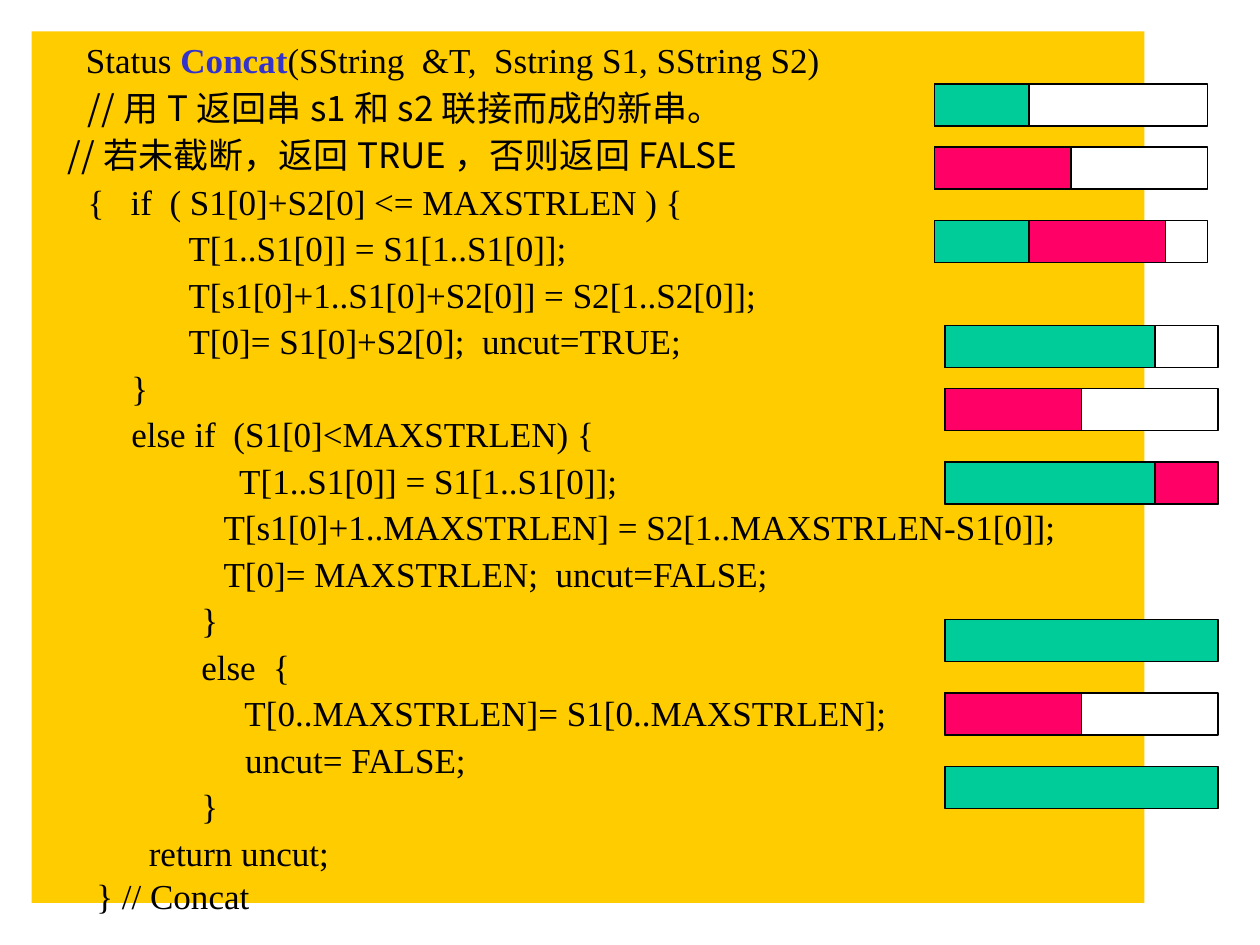
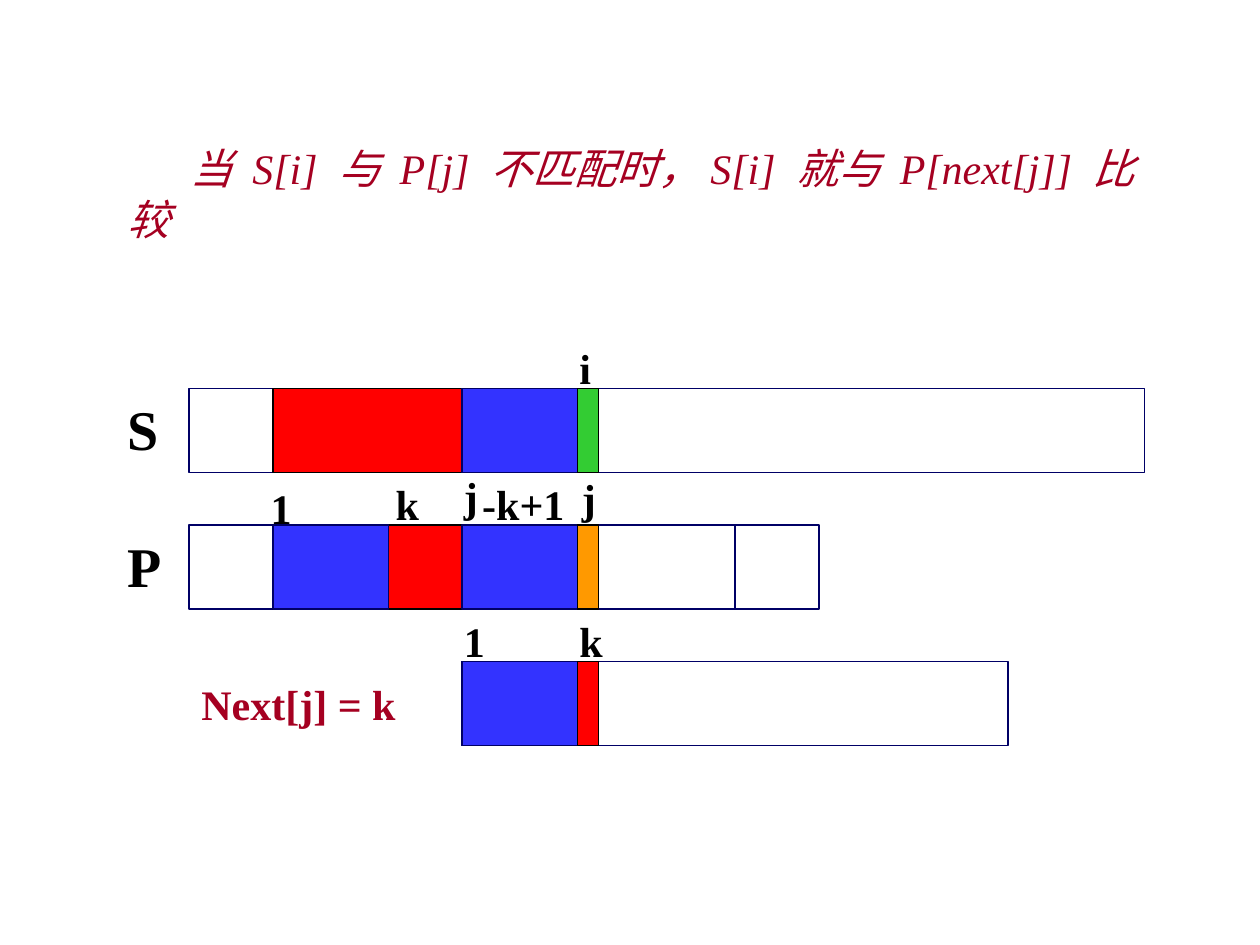
from dataclasses import dataclass

from lxml import etree
from pptx import Presentation
from pptx.dml.color import RGBColor
from pptx.enum import shapes, text
from pptx.oxml import ns
from pptx.util import Pt


@dataclass(frozen=True)
class Theme:
    latin: str = "Times New Roman"
    chinese: str = "Noto Sans CJK SC"
    black: str = "000000"
    white: str = "FFFFFF"
    panel: str = "FFCC00"
    keyword: str = "3333CC"
    first: str = "00CC99"
    second: str = "FF0066"
    navy: str = "000066"
    red: str = "FF0000"
    blue: str = "3333FF"
    green: str = "33CC33"
    orange: str = "FF9900"
    crimson: str = "A50021"
    code_size: int = 20
    label_size: int = 24
    name_size: int = 32
    outline: float = 0.75


THEME = Theme()

# Code listing of slide 1; the first three lines mix styles
SIGNATURE = [
    ("    ", dict(size=THEME.label_size)),
    ("Status ", {}),
    ("Concat", dict(color=THEME.keyword, bold=True)),
    ("(SString  &T,  Sstring S1, SString S2)", {}),
]
REMARKS = [
    [("     ", {}),
     ("//用T返回串s1和s2联接而成的新串。", dict(font=THEME.chinese))],
    [("   //若未截断，返回TRUE，否则返回FALSE", dict(font=THEME.chinese))],
]
BODY = [
    "     {   if  ( S1[0]+S2[0] <= MAXSTRLEN ) {",
    "\t\t    T[1..S1[0]] = S1[1..S1[0]];",
    "\t\t    T[s1[0]+1..S1[0]+S2[0]] = S2[1..S2[0]];",
    "\t\t    T[0]= S1[0]+S2[0];  uncut=TRUE;",
    "          }",
    "          else if  (S1[0]<MAXSTRLEN) {",
    "\t                 T[1..S1[0]] = S1[1..S1[0]];",
    "\t\t        T[s1[0]+1..MAXSTRLEN] = S2[1..MAXSTRLEN-S1[0]];",
    "\t\t        T[0]= MAXSTRLEN;  uncut=FALSE;",
    "                  }",
    "                  else  {",
    "                       T[0..MAXSTRLEN]= S1[0..MAXSTRLEN];",
    "                       uncut= FALSE;",
    "                  }",
    "            return uncut;",
    "      } // Concat",
]

# Each case: left edge, then bars as (top, base colour, [(width, colour)])
CASES = [
    (534, [(48, THEME.white, [(54, THEME.first)]),
           (84, THEME.white, [(78, THEME.second)]),
           (126, THEME.white, [(54, THEME.first), (78, THEME.second)])]),
    (540, [(186, THEME.white, [(120, THEME.first)]),
           (222, THEME.white, [(78, THEME.second)]),
           (264, THEME.white, [(120, THEME.first), (36, THEME.second)])]),
    (540, [(354, THEME.first, []),
           (396, THEME.white, [(78, THEME.second)]),
           (438, THEME.first, [])]),
]
CASE_WIDTH, CASE_HEIGHT = 156, 24

# Rows and columns of the matching diagram on slide 2
S_TOP, P_TOP, NEXT_TOP = 222, 300, 378
STRIP_HEIGHT = 48
START, MATCH, SUFFIX, MISMATCH = 108, 156, 264, 330
PREFIX_WIDTH, CELL_WIDTH, PATTERN_WIDTH = 66, 12, 312


def add_rect(holder, left, top, width, height, fill=None, line=None):
    rect = holder.shapes.add_shape(shapes.MSO_SHAPE.RECTANGLE,
                                   Pt(left), Pt(top), Pt(width), Pt(height))
    rect.shadow.inherit = False
    if fill:
        rect.fill.solid()
        rect.fill.fore_color.rgb = RGBColor.from_string(fill)
    else:
        rect.fill.background()
    if line:
        rect.line.color.rgb = RGBColor.from_string(line)
        rect.line.width = Pt(THEME.outline)
    else:
        rect.line.fill.background()
    return rect


def add_run(paragraph, words, size=THEME.code_size, color=THEME.black,
            font=THEME.latin, bold=False, italic=False):
    run = paragraph.add_run()
    run.text = words
    run.font.size = Pt(size)
    run.font.name = font
    run.font.bold = bold
    run.font.italic = italic
    run.font.color.rgb = RGBColor.from_string(color)
    east_asian = etree.Element(ns.qn("a:ea"), typeface=THEME.chinese)
    run.font._element.find(ns.qn("a:latin")).addnext(east_asian)


def indent(paragraph, margin, first_line):
    properties = paragraph._p.get_or_add_pPr()
    properties.set("marL", str(Pt(margin)))
    properties.set("indent", str(Pt(first_line)))
    return properties


def add_label(slide, words, left, top, width, height=36,
              size=THEME.label_size, first_line=0, **style):
    frame = slide.shapes.add_textbox(Pt(left), Pt(top), Pt(width),
                                     Pt(height)).text_frame
    frame.word_wrap = True
    paragraph = frame.paragraphs[0]
    indent(paragraph, 0, first_line)
    add_run(paragraph, words, size=size, **style)


def add_code_panel(slide):
    frame = add_rect(slide, 18, 18, 636, 498, THEME.panel).text_frame
    frame.word_wrap = True
    frame.vertical_anchor = text.MSO_ANCHOR.TOP
    lines = [SIGNATURE, *REMARKS, *([(line, {})] for line in BODY)]
    for number, line in enumerate(lines):
        paragraph = frame.add_paragraph() if number else frame.paragraphs[0]
        # One tab stop per inch, hanging indent
        properties = indent(paragraph, 27, -27)
        stops = etree.SubElement(properties, ns.qn("a:tabLst"))
        for inch in range(8):
            etree.SubElement(stops, ns.qn("a:tab"), pos=str(Pt(72 * inch)), algn="l")
        paragraph.alignment = text.PP_ALIGN.LEFT
        paragraph.line_spacing = 0.8 if line is lines[-1] else 0.9
        if number:
            paragraph.space_before = Pt(5)
        for words, style in line:
            add_run(paragraph, words, **style)


def add_case(slide, left, bars):
    case = slide.shapes.add_group_shape()
    for top, base, parts in bars:
        add_rect(case, left, top, CASE_WIDTH, CASE_HEIGHT, base, THEME.black)
        part_left = left
        for width, color in parts:
            add_rect(case, part_left, top, width, CASE_HEIGHT, color, THEME.black)
            part_left += width


def add_strip(slide, left, top, width, fill=None, line=THEME.navy):
    add_rect(slide, left, top, width, STRIP_HEIGHT, fill, line)


def build_concat(slide):
    add_code_panel(slide)
    for left, bars in CASES:
        add_case(slide, left, bars)


def build_matching(slide):
    # Outlines of S, of P in both positions, and of the shifted pattern
    add_strip(slide, START, S_TOP, 546)
    add_strip(slide, START, P_TOP, PATTERN_WIDTH)
    add_strip(slide, MATCH, P_TOP, PATTERN_WIDTH)
    add_strip(slide, SUFFIX, NEXT_TOP, PATTERN_WIDTH)

    # Matched part, its suffix, and the compared cell
    for top in (S_TOP, P_TOP):
        add_strip(slide, MATCH, top, 174, THEME.red, THEME.black)
    for top, cell in ((S_TOP, THEME.green), (P_TOP, THEME.orange),
                      (NEXT_TOP, THEME.red)):
        add_strip(slide, SUFFIX, top, PREFIX_WIDTH, THEME.blue)
        add_strip(slide, MISMATCH, top, CELL_WIDTH, cell, THEME.black)

    # Names and index labels
    for name, top in (("S", S_TOP), ("P", P_TOP)):
        add_label(slide, name, 66, top, 30, 46, THEME.name_size, bold=True)
    for index, left, top, width in (
            ("i", 324, 192, 24), ("j", 325.5, 266.5, 30),
            ("1", 147.5, 272, 18), ("k", 219, 270, 21.5),
            ("-k+1", 268.5, 270, 72), ("j", 258, 265.5, 30),
            ("1", 258, 348, 18), ("k", 324, 348, 24)):
        add_label(slide, index, left, top, width, bold=True)
    add_label(slide, "Next[j] = k", 108, 384, 156, color=THEME.crimson, bold=True)
    add_label(slide, "当 S[i] 与 P[j] 不匹配时，S[i] 就与 P[next[j]] 比较",
              66, 78, 600, 65, first_line=36, color=THEME.crimson, italic=True)

    # Prefix of P lies in front of its label
    add_strip(slide, MATCH, P_TOP, PREFIX_WIDTH, THEME.blue)


def main():
    deck = Presentation()
    deck.slide_width, deck.slide_height = Pt(720), Pt(540)
    blank = deck.slide_layouts[6]
    for build in (build_concat, build_matching):
        build(deck.slides.add_slide(blank))
    deck.save("out.pptx")


if __name__ == "__main__":
    main()
